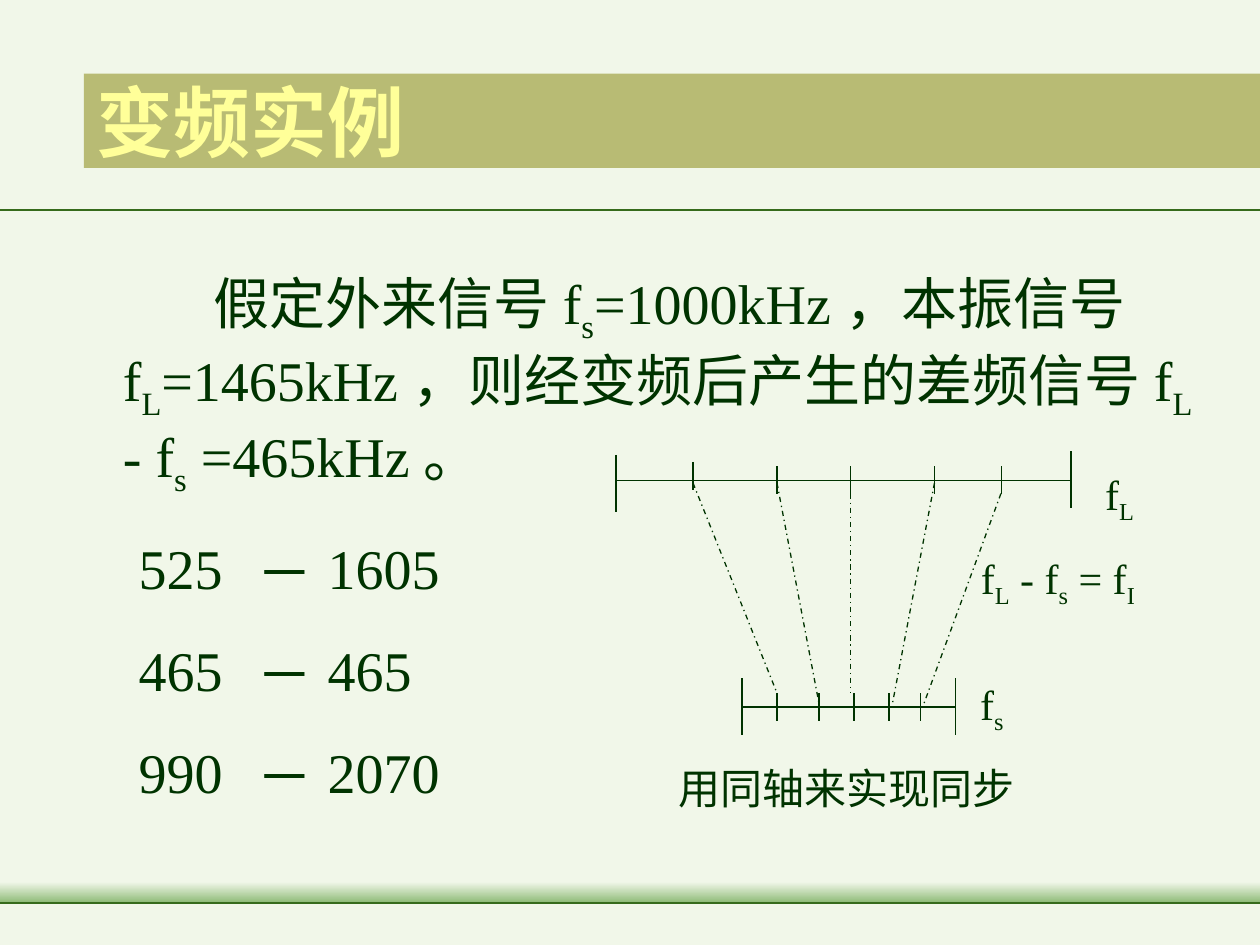
"""Build the frequency conversion example slide."""
from pptx import Presentation, util as u
from pptx.dml import color
from pptx.enum import dml, shapes, text
from pptx.oxml import ns, xmlchemy as xc

Pt = u.Pt
HEX = {"back": "F1F7E9", "rule": "366B1B", "glow": "8DBA76",
       "band": "808000", "title": "FFFF99", "ink": "003300"}
RGB = {k: color.RGBColor.from_string(v) for k, v in HEX.items()}


def write(par, words, size, face="Times New Roman", tone="ink", bold=False):
    for i, part in enumerate(words.split("|")):
        run = par.add_run()
        run.text = part
        form = {"size": Pt(size), "name": face, "bold": bold}
        for key, val in form.items():
            setattr(run.font, key, val)
        run.font.color.rgb = RGB[tone]
        if i % 2:
            run._r.get_or_add_rPr().set("baseline", "-25000")


def draw(home, ends, tone="ink", width=0.75, dash=None):
    line = home.add_connector(shapes.MSO_CONNECTOR.STRAIGHT, *map(Pt, ends))
    line.line.color.rgb = RGB[tone]
    line.line.width = Pt(width)
    if dash:
        line.line.dash_style = dash
    line._element.spPr.append(xc.OxmlElement("a:effectLst"))


deck = Presentation()
deck.slide_width, deck.slide_height = Pt(720), Pt(540)
slide = deck.slides.add_slide(deck.slide_layouts[1])
slide.background.fill.solid()
slide.background.fill.fore_color.rgb = RGB["back"]
all_ = slide.shapes
title, body = slide.placeholders

draw(all_, (0, 120, 720, 120), "rule", 1.5)
glow, band = [all_.add_shape(shapes.MSO_SHAPE.RECTANGLE, *map(Pt, box))
              for box in ((0, 504, 720, 12), (48, 42, 672, 54))]
for bar in (glow, band):
    bar.shadow.inherit = False
    bar.line.fill.background()
glow.fill.gradient()
glow.fill.gradient_angle = 270
for stop, tone, pos in zip(glow.fill.gradient_stops, ("back", "glow"), (0, 1)):
    stop.color.rgb = RGB[tone]
    stop.position = pos
band.fill.solid()
band.fill.fore_color.rgb = RGB["band"]
alpha = xc.OxmlElement("a:alpha")
alpha.set("val", "50000")
band._element.find(".//" + ns.qn("a:srgbClr")).append(alpha)
draw(all_, (0, 516, 720, 516), "rule", 1.5)

for item, box, side in ((title, (48, 24, 612, 90), text.MSO_ANCHOR.MIDDLE),
                        (body, (36, 150, 654, 477), text.MSO_ANCHOR.TOP)):
    all_._spTree.append(item._element)
    for key, val in zip(("left", "top", "width", "height"), box):
        setattr(item, key, Pt(val))
    form = {"auto_size": text.MSO_AUTO_SIZE.NONE, "word_wrap": True,
            "vertical_anchor": side}
    for key, val in form.items():
        setattr(item.text_frame, key, val)

head = title.text_frame.paragraphs[0]
head.alignment = text.PP_ALIGN.LEFT
write(head, "变频实例", 44, tone="title", bold=True)

rows = (("525", "1605", 184), ("465", "465", 200), ("990", "2070", 192))
frame = body.text_frame
for i in range(len(rows) + 1):
    par = frame.add_paragraph() if i else frame.paragraphs[0]
    par.space_before = Pt(20)
    props = par._p.get_or_add_pPr()
    props.append(xc.OxmlElement("a:buNone"))
    props.set("marL", str(Pt(0 if i else 27)))
    props.set("indent", str(Pt(0 if i else 52)))
    if i == 0:
        write(par, "假定外来信号 f|s|=1000kHz ，本振信号f|L|=1465kHz ，"
                   "则经变频后产生的差频信号 f|L| - f|s| =465kHz 。", 32)
        continue
    low, high, last = rows[i - 1]
    tabs = xc.OxmlElement("a:tabLst")
    for pos in (32, 128, last):
        tab = xc.OxmlElement("a:tab")
        tab.set("pos", str(Pt(pos)))
        tab.set("algn", "l")
        tabs.append(tab)
    props.append(tabs)
    write(par, f"\t{low}\t", 32)
    write(par, "─", 32, "Arial")
    write(par, f"\t{high}", 32)

for words, box in (("用同轴来实现同步", (342, 432, 283, 36)),
                   ("f|L| - f|s| = f|I", (444, 312, 321, 40)),
                   ("f|L", (559.5, 264, 160.5, 40)),
                   ("f|s", (462, 384, 209.5, 40))):
    note = all_.add_textbox(*map(Pt, box)).text_frame
    note.word_wrap = True
    par = note.paragraphs[0]
    par.alignment = text.PP_ALIGN.CENTER
    par.space_before = Pt(15)
    write(par, words, 24)

scales = (
    (274.5, ((352, 260), (612, 258)), 32.4,
     ((396, 264), (444, 266.5), (486, 266.5), (534, 266.5), (572.5, 266.5))),
    (404, ((424, 387.5), (546, 387.5)), 32.4,
     tuple((x, 396) for x in (444, 468, 488, 508, 526))))
for mid, ends, tall, ticks in scales:
    group = all_.add_group_shape().shapes
    draw(group, (ends[0][0], mid, ends[1][0], mid))
    for marks, size in ((ends, tall), (ticks, 16)):
        for x, y in marks:
            draw(group, (x, y, x, y + size))

links = all_.add_group_shape().shapes
for ends in ((396, 276, 444, 396), (444, 276, 468, 402), (486, 282, 486, 396),
             (534, 276, 510, 402), (572, 282, 528, 402)):
    draw(links, ends, dash=dml.MSO_LINE.DASH_DOT)

deck.save("out.pptx")
